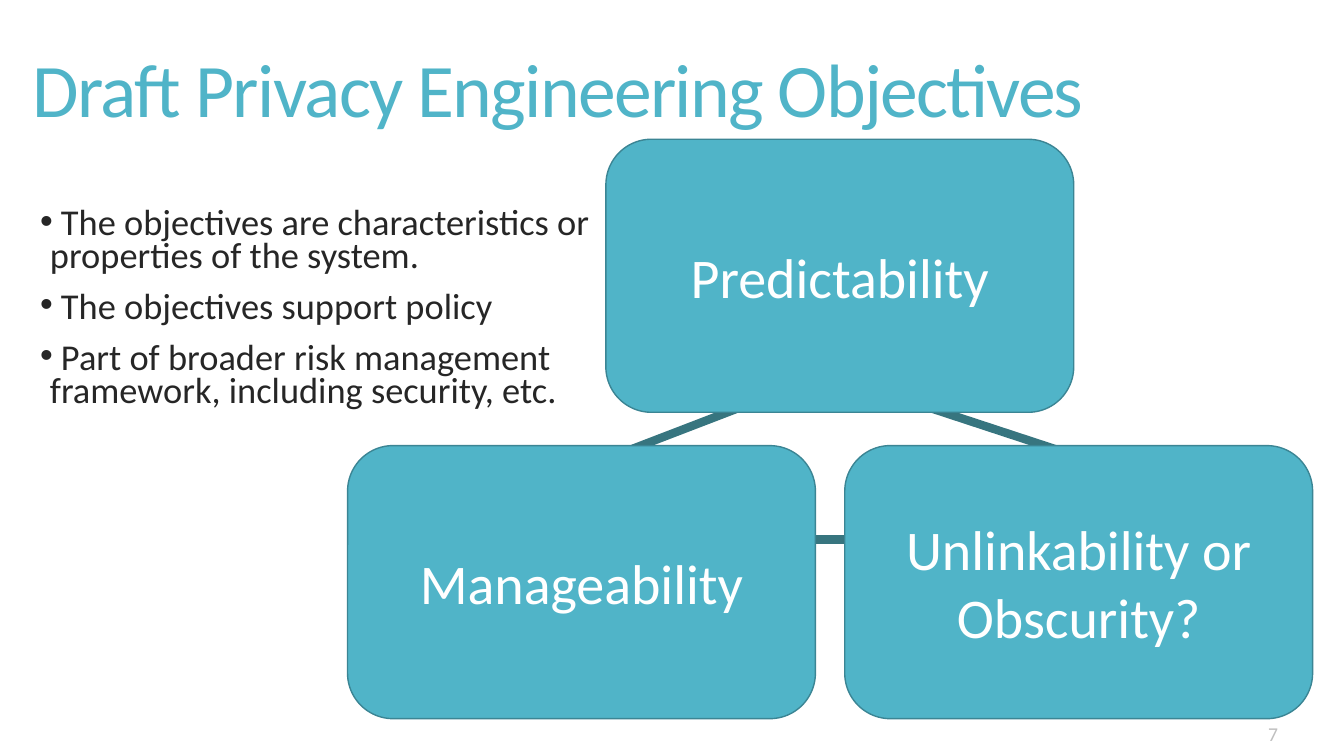
"""Build the slide on draft privacy engineering objectives."""
from lxml.etree import SubElement
from pptx import Presentation
from pptx.dml.color import RGBColor
from pptx.enum.shapes import MSO_CONNECTOR as Connector, MSO_SHAPE as Shape
from pptx.enum.text import MSO_ANCHOR as Anchor, PP_ALIGN as Align
from pptx.oxml.ns import qn
from pptx.util import Cm, Pt

COLORS = {"teal": "50B4C8", "outline": "3B8594", "link": "37757F",
          "white": "FFFFFF", "text": "262626", "number": "BFBFBF"}


def color(name):
    """Return the named colour."""
    return RGBColor.from_string(COLORS[name])


def write(shape, lines, size, color_name, anchor, align):
    """Fill a shape with formatted paragraphs and return its frame."""
    frame = shape.text_frame
    frame.word_wrap = True
    frame.vertical_anchor = anchor
    frame.text = "\n".join(lines)
    for para in frame.paragraphs:
        para.alignment = align
        for span in para.runs:
            span.font.name = "Calibri"
            span.font.size = Pt(size)
            span.font.color.rgb = color(color_name)
    return frame


deck = Presentation()
deck.slide_width, deck.slide_height = Cm(33.87), Cm(19.05)
page = deck.slides.add_slide(deck.slide_layouts[6])

links = [(19.79, 9.83, 15.42, 11.51),
         (22.07, 9.83, 27.18, 11.51),
         (21.69, 13.59, 19.79, 13.59)]
for ends in links:
    link = page.shapes.add_connector(Connector.STRAIGHT, *map(Cm, ends))
    link.line.color.rgb = color("link")
    link.line.width = Pt(6)
    SubElement(link._element.spPr, qn("a:effectLst"))

title_box = page.shapes.add_textbox(Cm(0.58), Cm(0.08), Cm(29.92), Cm(4.6))
title = write(title_box, ["Draft Privacy Engineering Objectives"],
              54, "teal", Anchor.MIDDLE, Align.LEFT).paragraphs[0]
title.line_spacing = 0.85
title.runs[0].font._element.set("spc", "-120")

bullets = [" The objectives are characteristics or properties of the system.",
           " The objectives support policy",
           " Part of broader risk management framework, including security, etc."]
bullet_box = page.shapes.add_textbox(Cm(0.76), Cm(5.16), Cm(14.5), Cm(5.03))
bullet_frame = write(bullet_box, bullets, 26, "text", Anchor.TOP, Align.LEFT)
for index, para in enumerate(bullet_frame.paragraphs):
    para.line_spacing = 0.75
    para.space_before = Pt(13 if index else 0)
    properties = para._p.get_or_add_pPr()
    properties.set("marL", str(Cm(0.25)))
    properties.set("indent", str(-Cm(0.25)))
    SubElement(properties, qn("a:buFont"), typeface="Arial")
    SubElement(properties, qn("a:buChar"), char="•")

number_box = page.shapes.add_textbox(Cm(24.33), Cm(16.33), Cm(8.13), Cm(2.57))
write(number_box, ["7"], 14, "number", Anchor.BOTTOM, Align.RIGHT)

objectives = [(15.27, 3.51, ["Predictability"]),
              (8.76, 11.23, ["Manageability"]),
              (21.29, 11.23, ["Unlinkability or", "Obscurity?"])]
for left, top, lines in objectives:
    box = page.shapes.add_shape(Shape.ROUNDED_RECTANGLE,
                                Cm(left), Cm(top), Cm(11.79), Cm(6.88))
    box.shadow.inherit = False
    box.fill.solid()
    box.fill.fore_color.rgb = color("teal")
    box.line.color.rgb = color("outline")
    box.line.width = Pt(1)
    write(box, lines, 40, "white", Anchor.MIDDLE, Align.CENTER)

deck.save("out.pptx")
